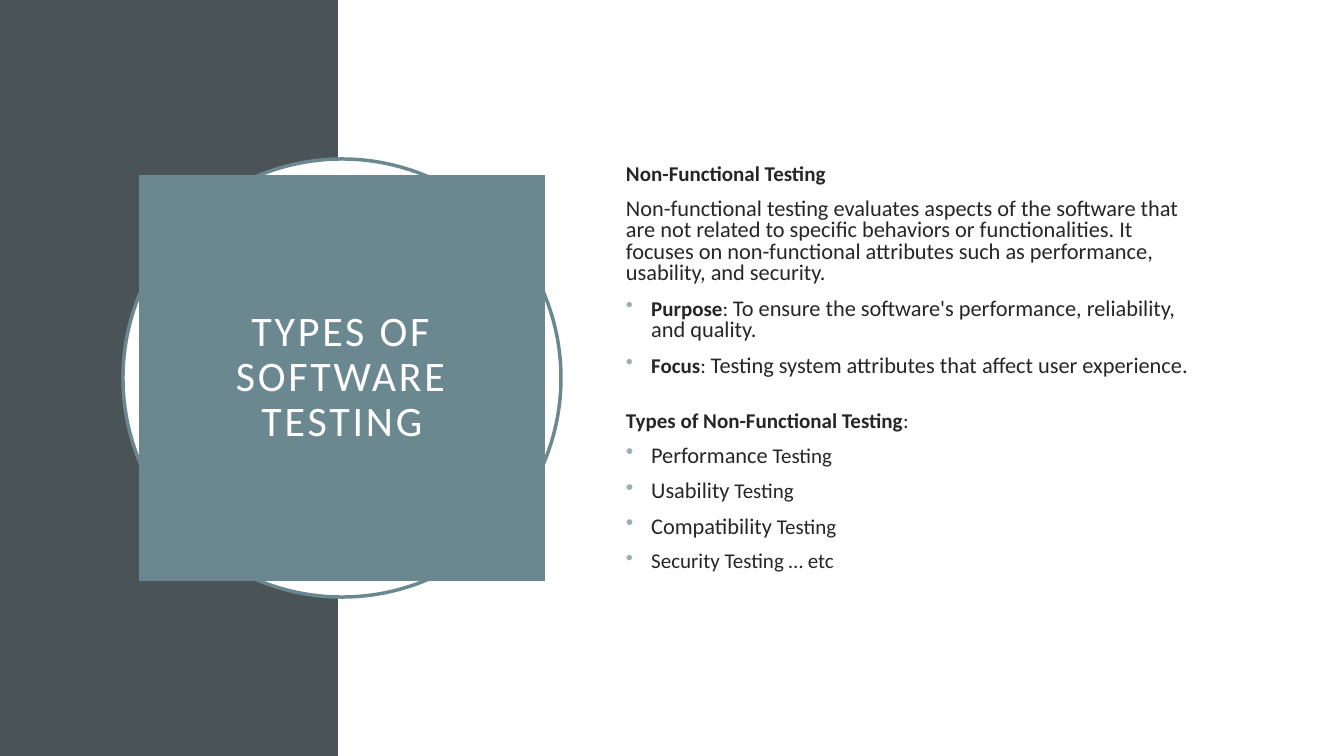
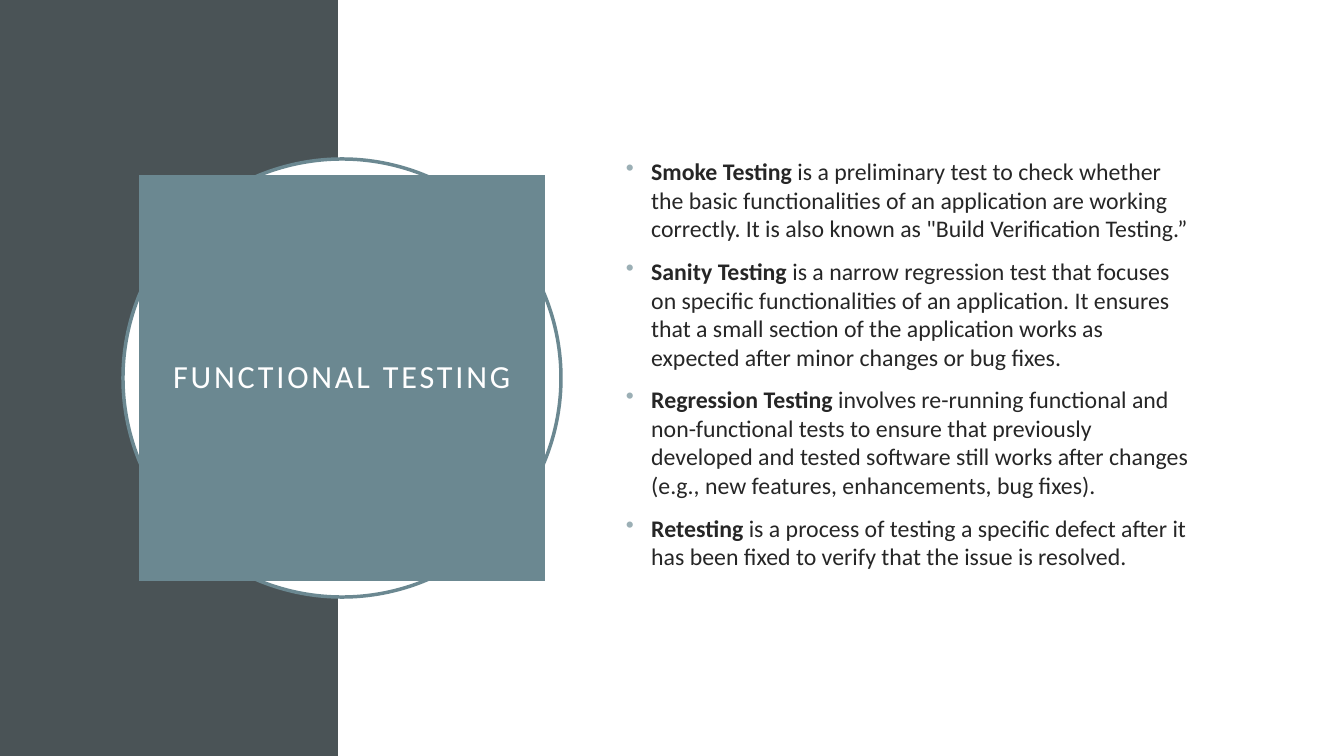
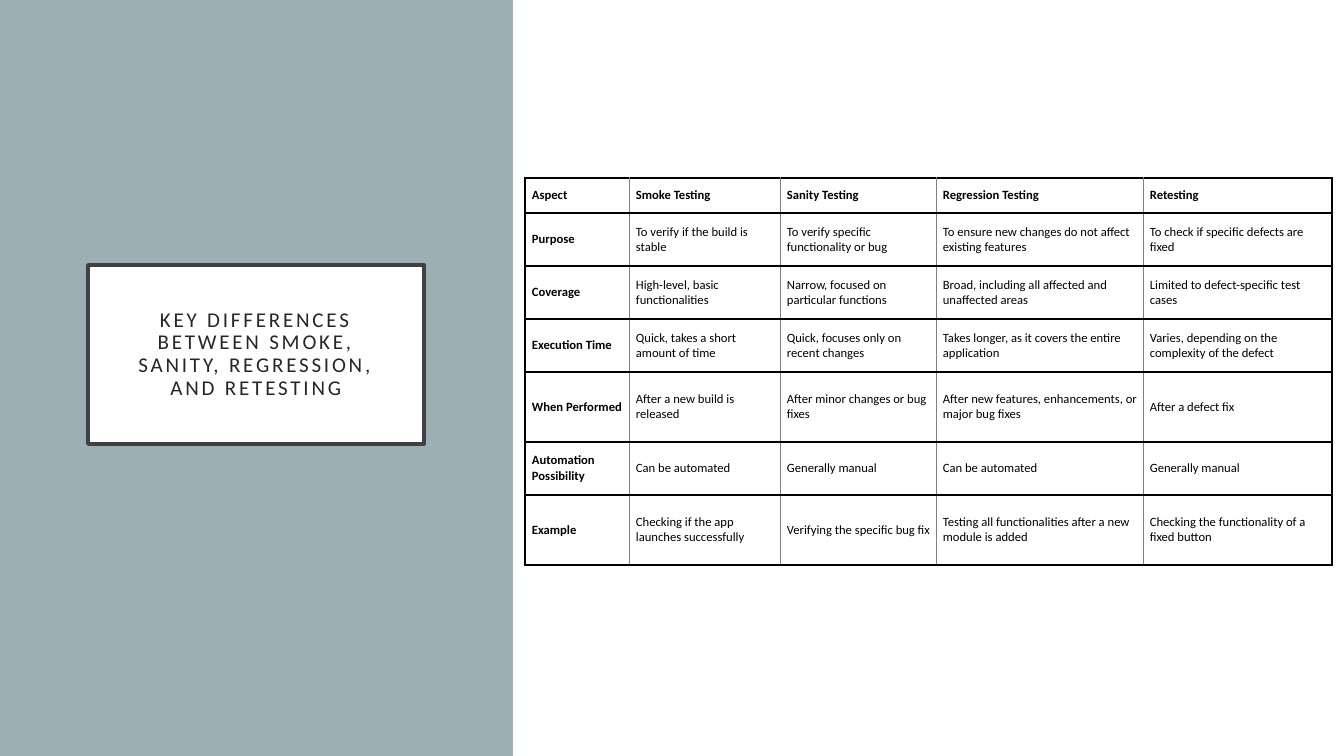
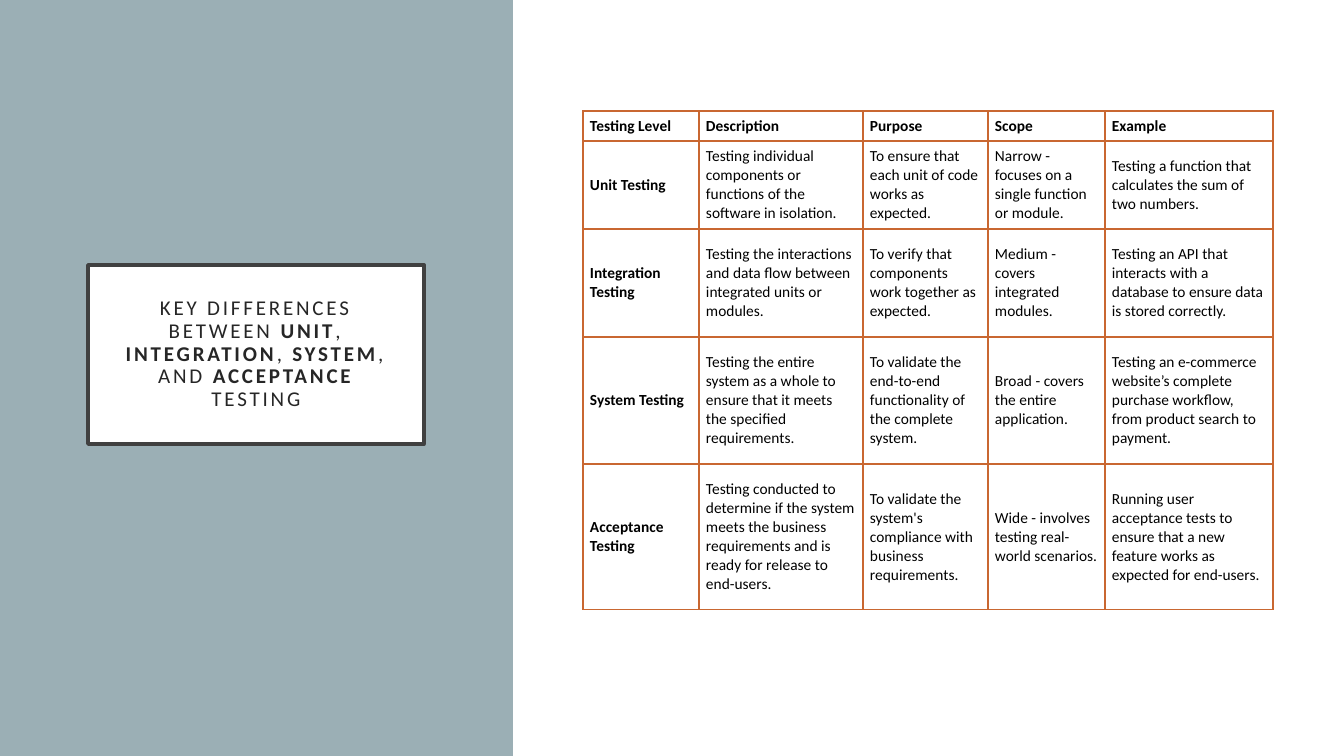
from typing import NamedTuple

from lxml import etree
from pptx import Presentation
from pptx.dml.color import RGBColor
from pptx.enum.shapes import MSO_SHAPE
from pptx.enum.text import MSO_ANCHOR, MSO_AUTO_SIZE, PP_ALIGN
from pptx.oxml.ns import qn
from pptx.util import Emu, Pt

RECTANGLE = MSO_SHAPE.RECTANGLE
OVAL = MSO_SHAPE.OVAL
TOP = MSO_ANCHOR.TOP
MIDDLE = MSO_ANCHOR.MIDDLE
CENTER = PP_ALIGN.CENTER
NO_AUTOFIT = MSO_AUTO_SIZE.NONE

EMU_PER_PX = 914400 / 100.8
SLIDE_WIDTH, SLIDE_HEIGHT = 1344, 756
TITLE_ONLY = 5
FONT = "Calibri"
COLORS = {
    "slate": "4A5356",
    "teal": "6B8891",
    "mist": "9BAFB5",
    "white": "FFFFFF",
    "text": "262626",
    "frame": "404040",
    "black": "000000",
    "gray": "808080",
    "orange": "C96731",
}


class Run(NamedTuple):
    text: str
    bold: bool = False
    size: int = 15


class Item(NamedTuple):
    """One body paragraph."""
    runs: list
    bullet: bool = True
    space_before: float = 10


class TableStyle(NamedTuple):
    """Insets run left, top, right, bottom; a border is (color, points)."""
    size: int
    insets: tuple
    outer: tuple
    horizontal: tuple
    vertical: tuple


def px(value):
    return Emu(round(value * EMU_PER_PX))


def color(name):
    return RGBColor.from_string(COLORS[name])


def paint(shape, fill, line=None):
    shape.fill.solid()
    shape.fill.fore_color.rgb = color(fill)
    if line:
        shape.line.color.rgb = color(line)
        shape.line.width = Pt(2.5)
    else:
        shape.line.fill.background()


def add_panel(slide, kind, box, fill, line=None):
    shape = slide.shapes.add_shape(kind, *map(px, box))
    shape.shadow.inherit = False
    paint(shape, fill, line)


def set_frame(frame, insets, anchor):
    frame.word_wrap = True
    frame.auto_size = NO_AUTOFIT
    frame.vertical_anchor = anchor
    (frame.margin_left, frame.margin_top,
     frame.margin_right, frame.margin_bottom) = map(px, insets)


def add_runs(paragraph, runs):
    for part in runs:
        run = paragraph.add_run()
        run.text = part.text
        run.font.bold = part.bold
        run.font.size = Pt(part.size)


def set_font(paragraph, color_name):
    paragraph.font.name = FONT
    paragraph.font.color.rgb = color(color_name)


def set_title(slide, box, runs, insets, text_color, fill, line=None):
    """Format the title placeholder and bring it to the front."""
    title = slide.shapes.title
    title.left, title.top, title.width, title.height = map(px, box)
    paint(title, fill, line)
    set_frame(title.text_frame, insets, MIDDLE)
    paragraph = title.text_frame.paragraphs[0]
    paragraph.alignment = CENTER
    paragraph.line_spacing = 0.9
    set_font(paragraph, text_color)
    add_runs(paragraph, runs)
    for run in paragraph.runs:
        run.font._element.set("spc", "200") if hasattr(run.font, "_element") \
            else run._r.get_or_add_rPr().set("spc", "200")
    title.element.getparent().append(title.element)


def add_bullet(paragraph):
    properties = paragraph._p.get_or_add_pPr()
    properties.set("marL", "228600")
    properties.set("indent", "-228600")
    bullet_color = etree.SubElement(properties, qn("a:buClr"))
    etree.SubElement(bullet_color, qn("a:srgbClr"), val=COLORS["mist"])
    etree.SubElement(properties, qn("a:buChar"), char="•")


def add_body(slide, top, items, line_spacing):
    box = slide.shapes.add_textbox(px(617), px(top), px(587), px(447))
    frame = box.text_frame
    set_frame(frame, (9, 5, 9, 5), TOP)
    for index, item in enumerate(items):
        paragraph = frame.add_paragraph() if index else frame.paragraphs[0]
        if item.bullet:
            add_bullet(paragraph)
        paragraph.line_spacing = line_spacing
        paragraph.space_before = Pt(item.space_before if index else 0)
        set_font(paragraph, "text")
        add_runs(paragraph, item.runs)


def add_border(cell, side, border):
    color_name, points = border
    line = etree.SubElement(cell._tc.get_or_add_tcPr(), qn(f"a:ln{side}"),
                            w=str(Pt(points)))
    fill = etree.SubElement(line, qn("a:solidFill"))
    etree.SubElement(fill, qn("a:srgbClr"), val=COLORS[color_name])


def fill_cell(cell, text, bold, style):
    (cell.margin_left, cell.margin_top,
     cell.margin_right, cell.margin_bottom) = map(px, style.insets)
    cell.vertical_anchor = MIDDLE
    paragraph = cell.text_frame.paragraphs[0]
    set_font(paragraph, "black")
    add_runs(paragraph, [Run(text, bold, style.size)])


def add_grid(slide, left, top, widths, heights, rows, style):
    table = slide.shapes.add_table(
        len(heights), len(widths), px(left), px(top),
        px(sum(widths)), px(sum(heights))).table
    table.first_row = table.horz_banding = False
    for column, width in zip(table.columns, widths):
        column.width = px(width)
    for row, height in zip(table.rows, heights):
        row.height = px(height)
    last = len(widths) - 1
    for r, texts in enumerate(rows):
        for c, text in enumerate(texts):
            cell = table.cell(r, c)
            fill_cell(cell, text, r == 0 or c == 0, style)
            add_border(cell, "L", style.vertical if c else style.outer)
            add_border(cell, "R", style.vertical if c < last else style.outer)
            add_border(cell, "T", style.horizontal)
            add_border(cell, "B", style.horizontal)
            cell.fill.background()


def add_slide(presentation):
    return presentation.slides.add_slide(presentation.slide_layouts[TITLE_ONLY])


def add_topic_slide(presentation, title, title_size, body_top, items,
                    line_spacing=1.0):
    slide = add_slide(presentation)
    add_panel(slide, RECTANGLE, (0, 0, 338, SLIDE_HEIGHT), "slate")
    add_panel(slide, OVAL, (123, 159, 438, 438), "white", "teal")
    add_body(slide, body_top, items, line_spacing)
    set_title(slide, (139, 175, 406, 406), [Run(title, size=title_size)],
              (20, 20, 20, 20), "white", "teal")


def add_comparison_slide(presentation, title_runs, *grid):
    slide = add_slide(presentation)
    add_panel(slide, RECTANGLE, (0, 0, 513, SLIDE_HEIGHT), "mist")
    add_grid(slide, *grid)
    set_title(slide, (88, 265, 336, 179), title_runs,
              (30, 20, 30, 20), "text", "white", "frame")


NON_FUNCTIONAL = [
    Item([Run("Non-Functional Testing", True)], bullet=False),
    Item([Run("Non-functional testing evaluates aspects of the software that "
              "are not related to specific behaviors or functionalities. It "
              "focuses on non-functional attributes such as performance, "
              "usability, and security.", size=16)], bullet=False),
    Item([Run("Purpose", True), Run(": "),
          Run("To ensure the software's performance, reliability, and "
              "quality.", size=16)]),
    Item([Run("Focus", True), Run(": "),
          Run("Testing system attributes that affect user experience.",
              size=16)]),
    Item([Run("Types of Non-Functional Testing", True), Run(":")],
         bullet=False, space_before=24.5),
    *[Item([Run(kind, size=16), Run(" Testing")])
      for kind in ("Performance", "Usability", "Compatibility")],
    Item([Run("Security Testing … etc")]),
]

FUNCTIONAL = [
    Item([Run(name, True, 17), Run(meaning, False, 17)])
    for name, meaning in (
        ("Smoke Testing ",
         "is a preliminary test to check whether the basic functionalities of "
         "an application are working correctly. It is also known as \"Build "
         "Verification Testing.”"),
        ("Sanity Testing ",
         "is a narrow regression test that focuses on specific "
         "functionalities of an application. It ensures that a small section "
         "of the application works as expected after minor changes or bug "
         "fixes."),
        ("Regression Testing ",
         "involves re-running functional and non-functional tests to ensure "
         "that previously developed and tested software still works after "
         "changes (e.g., new features, enhancements, bug fixes)."),
        ("Retesting ",
         "is a process of testing a specific defect after it has been fixed "
         "to verify that the issue is resolved."),
    )
]

TEST_KINDS = [
    ["Aspect", "Smoke Testing", "Sanity Testing", "Regression Testing",
     "Retesting"],
    ["Purpose", "To verify if the build is stable",
     "To verify specific functionality or bug",
     "To ensure new changes do not affect existing features",
     "To check if specific defects are fixed"],
    ["Coverage", "High-level, basic functionalities",
     "Narrow, focused on particular functions",
     "Broad, including all affected and unaffected areas",
     "Limited to defect-specific test cases"],
    ["Execution Time", "Quick, takes a short amount of time",
     "Quick, focuses only on recent changes",
     "Takes longer, as it covers the entire application",
     "Varies, depending on the complexity of the defect"],
    ["When Performed", "After a new build is released",
     "After minor changes or bug fixes",
     "After new features, enhancements, or major bug fixes",
     "After a defect fix"],
    ["Automation Possibility", "Can be automated", "Generally manual",
     "Can be automated", "Generally manual"],
    ["Example", "Checking if the app launches successfully",
     "Verifying the specific bug fix",
     "Testing all functionalities after a new module is added",
     "Checking the functionality of a fixed button"],
]

TEST_LEVELS = [
    ["Testing Level", "Description", "Purpose", "Scope", "Example"],
    ["Unit Testing",
     "Testing individual components or functions of the software in "
     "isolation.",
     "To ensure that each unit of code works as expected.",
     "Narrow - focuses on a single function or module.",
     "Testing a function that calculates the sum of two numbers."],
    ["Integration Testing",
     "Testing the interactions and data flow between integrated units or "
     "modules.",
     "To verify that components work together as expected.",
     "Medium - covers integrated modules.",
     "Testing an API that interacts with a database to ensure data is stored "
     "correctly."],
    ["System Testing",
     "Testing the entire system as a whole to ensure that it meets the "
     "specified requirements.",
     "To validate the end-to-end functionality of the complete system.",
     "Broad - covers the entire application.",
     "Testing an e-commerce website’s complete purchase workflow, from "
     "product search to payment."],
    ["Acceptance Testing",
     "Testing conducted to determine if the system meets the business "
     "requirements and is ready for release to end-users.",
     "To validate the system's compliance with business requirements.",
     "Wide - involves testing real-world scenarios.",
     "Running user acceptance tests to ensure that a new feature works as "
     "expected for end-users."],
]

HEAVY, THIN, ACCENT = ("black", 1.5), ("gray", 0.5), ("orange", 1)
KINDS_STYLE = TableStyle(9, (7, 6, 2, 6), HEAVY, HEAVY, THIN)
LEVELS_STYLE = TableStyle(11, (7, 3, 7, 3), ACCENT, ACCENT, ACCENT)


def main():
    presentation = Presentation()
    presentation.slide_width = px(SLIDE_WIDTH)
    presentation.slide_height = px(SLIDE_HEIGHT)
    add_topic_slide(presentation, "TYPES OF SOFTWARE TESTING", 30, 160,
                    NON_FUNCTIONAL, line_spacing=0.8)
    add_topic_slide(presentation, "FUNCTIONAL TESTING", 23, 152, FUNCTIONAL)
    add_comparison_slide(
        presentation,
        [Run("KEY DIFFERENCES BETWEEN SMOKE, SANITY, REGRESSION, AND "
             "RETESTING")],
        525, 178, (104, 151, 156, 207, 189), (35, 53, 53, 53, 70, 53, 70),
        TEST_KINDS, KINDS_STYLE)
    add_comparison_slide(
        presentation,
        [Run("KEY DIFFERENCES BETWEEN "), Run("UNIT", True), Run(","),
         Run(" INTEGRATION", True), Run(","), Run(" SYSTEM", True),
         Run(", AND"), Run(" ACCEPTANCE ", True), Run("TESTING")],
        583, 111, (116, 164, 125, 117, 168), (30, 88, 108, 127, 146),
        TEST_LEVELS, LEVELS_STYLE)
    presentation.save("out.pptx")


if __name__ == "__main__":
    main()
